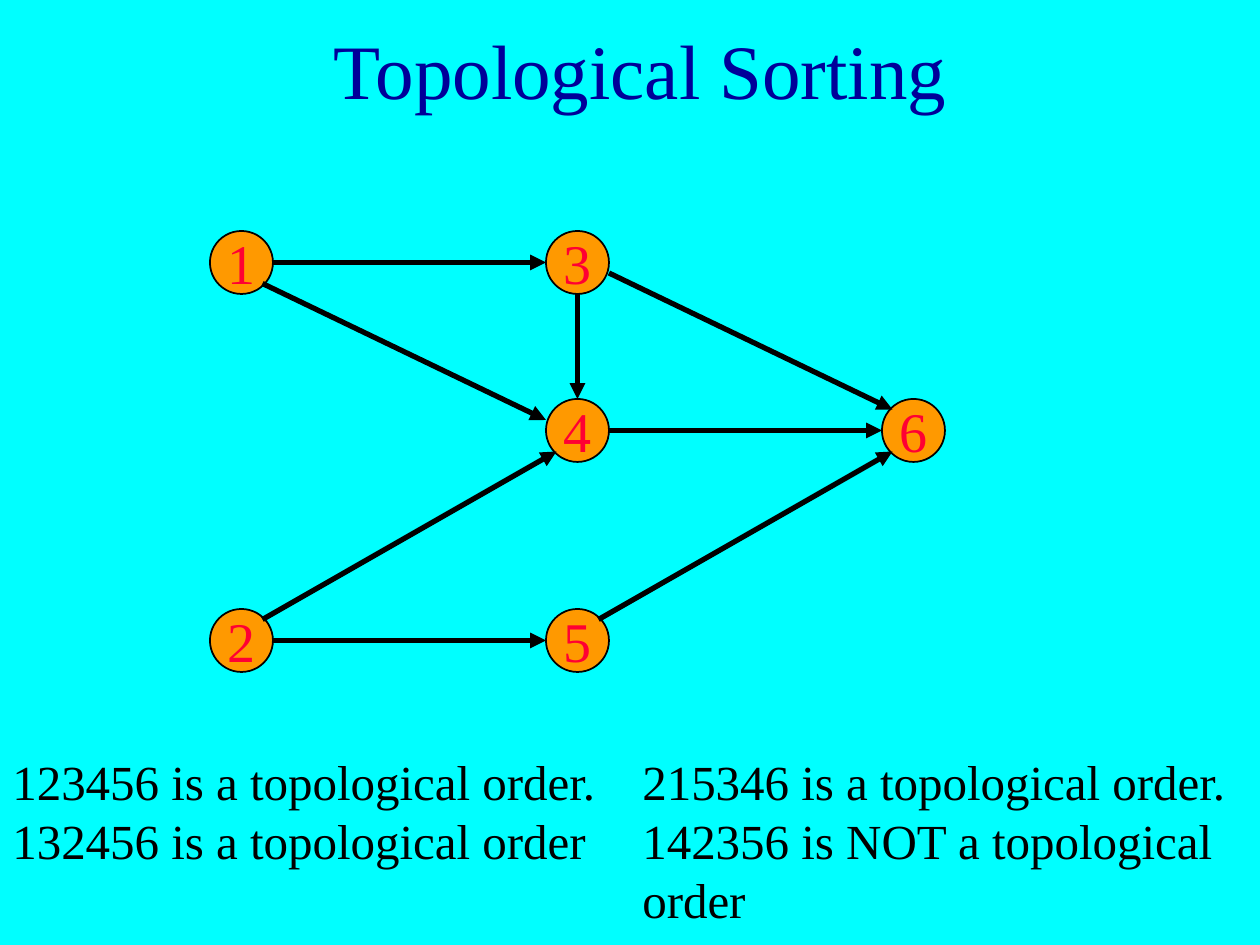
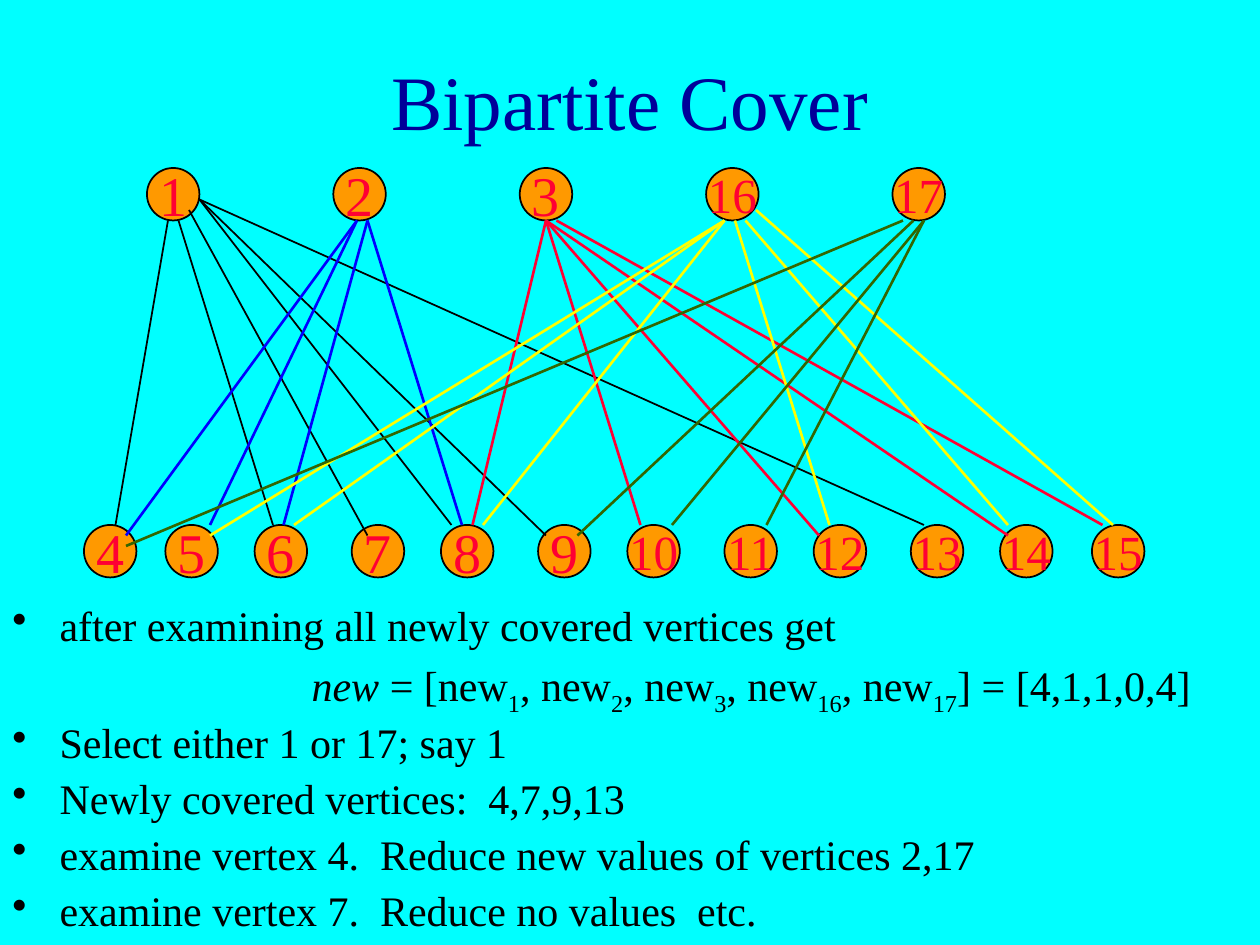
from lxml.etree import SubElement
from pptx import Presentation
from pptx.dml.color import RGBColor
from pptx.enum.shapes import MSO_CONNECTOR as Connector, MSO_SHAPE as Shape
from pptx.enum.text import MSO_ANCHOR as Anchor, PP_ALIGN as Align
from pptx.oxml.ns import qn
from pptx.util import Pt

BLACK, RED, BLUE, YELLOW, GREEN = "000000", "FF0033", "0000FF", "FFFF00", "336600"


def color(hex_string):
    return RGBColor.from_string(hex_string)


def write(frame, paragraphs, size=24, ink=BLACK, align=Align.LEFT, anchor=Anchor.TOP,
          wrap=True, spacing=None, before=0):
    """Fill a text frame; a paragraph is a string or a list of (text, style) runs."""
    frame.word_wrap, frame.vertical_anchor = wrap, anchor
    for index, runs in enumerate(paragraphs):
        paragraph = frame.paragraphs[0] if index == 0 else frame.add_paragraph()
        paragraph.alignment, paragraph.space_before = align, Pt(before)
        if spacing:
            paragraph.line_spacing = spacing
        for words, style in [(runs, "")] if isinstance(runs, str) else runs:
            run = paragraph.add_run()
            run.text = words
            font = run.font
            font.name, font.size, font.color.rgb = Deck.FONT, Pt(size), color(ink)
            if style == "italic":
                font.italic = True
            elif style == "sub":
                font._element.set("baseline", "-25000")


class Deck:
    FONT, BACKGROUND, TITLE, NODE = "Times New Roman", "00FFFF", "000099", "FF9900"

    def __init__(self):
        self.prs = Presentation()
        self.prs.slide_width, self.prs.slide_height = Pt(720), Pt(540)

    def slide(self, heading, *box):
        self.page = self.prs.slides.add_slide(self.prs.slide_layouts[6])
        fill = self.page.background.fill
        fill.solid()
        fill.fore_color.rgb = color(self.BACKGROUND)
        self.text([heading], *box, size=44, ink=self.TITLE,
                  align=Align.CENTER, anchor=Anchor.MIDDLE)

    def text(self, paragraphs, left, top, width, height, **style):
        box = self.page.shapes.add_textbox(Pt(left), Pt(top), Pt(width), Pt(height))
        write(box.text_frame, paragraphs, **style)
        return box.text_frame

    def node(self, label, left, top, diameter):
        circle = self.page.shapes.add_shape(
            Shape.OVAL, Pt(left), Pt(top), Pt(diameter), Pt(diameter))
        circle.shadow.inherit = False
        circle.fill.solid()
        circle.fill.fore_color.rgb = color(self.NODE)
        circle.line.color.rgb, circle.line.width = color(BLACK), Pt(1)
        write(circle.text_frame, [str(label)], size=32 if label < 10 else 28, ink=RED,
              align=Align.CENTER, anchor=Anchor.MIDDLE, wrap=False)

    def edge(self, start, end, ink=BLACK, weight=1.5, arrow=False):
        line = self.page.shapes.add_connector(
            Connector.STRAIGHT, *(Pt(value) for value in (*start, *end)))
        line.line.color.rgb, line.line.width = color(ink), Pt(weight)
        if arrow:
            SubElement(line.line._get_or_add_ln(), qn("a:tailEnd"), type="triangle")
        SubElement(line._element.spPr, qn("a:effectLst"))

    def indent(self, paragraph, left, bullet=False):
        props = paragraph._p.get_or_add_pPr()
        props.set("marL", str(Pt(left)))
        props.set("indent", str(Pt(-left if bullet else 0)))
        if bullet:
            ink = SubElement(props, qn("a:buClr"))
            SubElement(ink, qn("a:srgbClr"), val=BLACK)
            SubElement(props, qn("a:buChar"), char="•")
        else:
            SubElement(props, qn("a:buNone"))


def topological_sorting(deck):
    deck.slide("Topological Sorting", 12, 6, 708, 66)

    # Vertices in three columns
    vertices = {1: (120, 132), 2: (120, 348), 3: (312, 132),
                4: (312, 228), 5: (312, 348), 6: (504, 228)}
    for label, corner in vertices.items():
        deck.node(label, *corner, 36)

    # Directed edges
    for start, end in [
        ((156, 150), (312, 150)), ((330, 168), (330, 228)), ((348, 246), (504, 246)),
        ((150, 162), (312, 240)), ((348, 156), (510, 234)), ((150, 354), (318, 258)),
        ((342, 354), (510, 258)), ((156, 366), (312, 366)),
    ]:
        deck.edge(start, end, weight=3, arrow=True)

    # Example orders
    deck.text(["123456 is a topological order.", "132456 is a topological order"],
              0, 426, 349, 75, size=28)
    deck.text(["215346 is a topological order.", "142356 is NOT a topological", "order"],
              360, 426, 349, 108, size=28)


def bipartite_cover(deck):
    deck.slide("Bipartite Cover", 54, 12, 612, 90)

    # Steps, with the formula set in under the first one
    formula = [("new", "italic"), (" = [new", "")]
    for subscript in (1, 2, 3, 16):
        formula += [(str(subscript), "sub"), (", new", "")]
    formula += [("17", "sub"), ("] = [4,1,1,0,4]", "")]
    steps = deck.text([
        "after examining all newly covered vertices get",
        formula,
        "Select either 1 or 17; say 1",
        "Newly covered vertices:  4,7,9,13",
        "examine vertex 4.  Reduce new values of vertices 2,17",
        "examine vertex 7.  Reduce no values  etc.",
    ], 0, 342, 720, 198, spacing=0.9, before=6)
    for index, paragraph in enumerate(steps.paragraphs):
        if index == 1:
            deck.indent(paragraph, 171)
        else:
            deck.indent(paragraph, 27, bullet=True)

    # Covering vertices above, covered vertices below
    pitch = 106.5
    for column, label in enumerate((1, 2, 3, 16, 17)):
        deck.node(label, 84 + column * pitch, 96, 30)
    for column in range(5):
        deck.node(5 + 2 * column, 94.5 + column * pitch, 300, 30)
        deck.node(6 + 2 * column, 145.5 + column * pitch, 300, 30)
    deck.node(4, 48, 300, 30)
    deck.node(15, 624, 300, 30)

    # Edges of each covering vertex: colour, weight, (start, end) pairs
    fans = [
        (BLACK, 1, [((96, 126), (66, 300)), ((102, 126), (156, 300)),
                    ((108, 120), (210, 306)), ((114, 114), (258, 300)),
                    ((114, 114), (312, 306)), ((114, 114), (528, 300))]),
        (BLUE, 1.5, [((204, 126), (72, 306)), ((204, 126), (120, 300)),
                     ((210, 126), (162, 300)), ((210, 126), (264, 300))]),
        (RED, 1.5, [((312, 126), (270, 300)), ((312, 126), (366, 300)),
                    ((312, 126), (468, 306)), ((312, 126), (576, 306)),
                    ((318, 126), (630, 300))]),
        (YELLOW, 1.5, [((414, 126), (120, 306)), ((414, 126), (168, 300)),
                       ((414, 126), (276, 300)), ((420, 126), (474, 300)),
                       ((426, 126), (576, 300)), ((432, 120), (636, 300))]),
        (GREEN, 1.5, [((516, 126), (72, 312)), ((522, 126), (330, 306)),
                      ((528, 126), (384, 300)), ((528, 126), (438, 300))]),
    ]
    for ink, weight, pairs in fans:
        for start, end in pairs:
            deck.edge(start, end, ink, weight)


def main():
    deck = Deck()
    topological_sorting(deck)
    bipartite_cover(deck)
    deck.prs.save("out.pptx")


if __name__ == "__main__":
    main()
